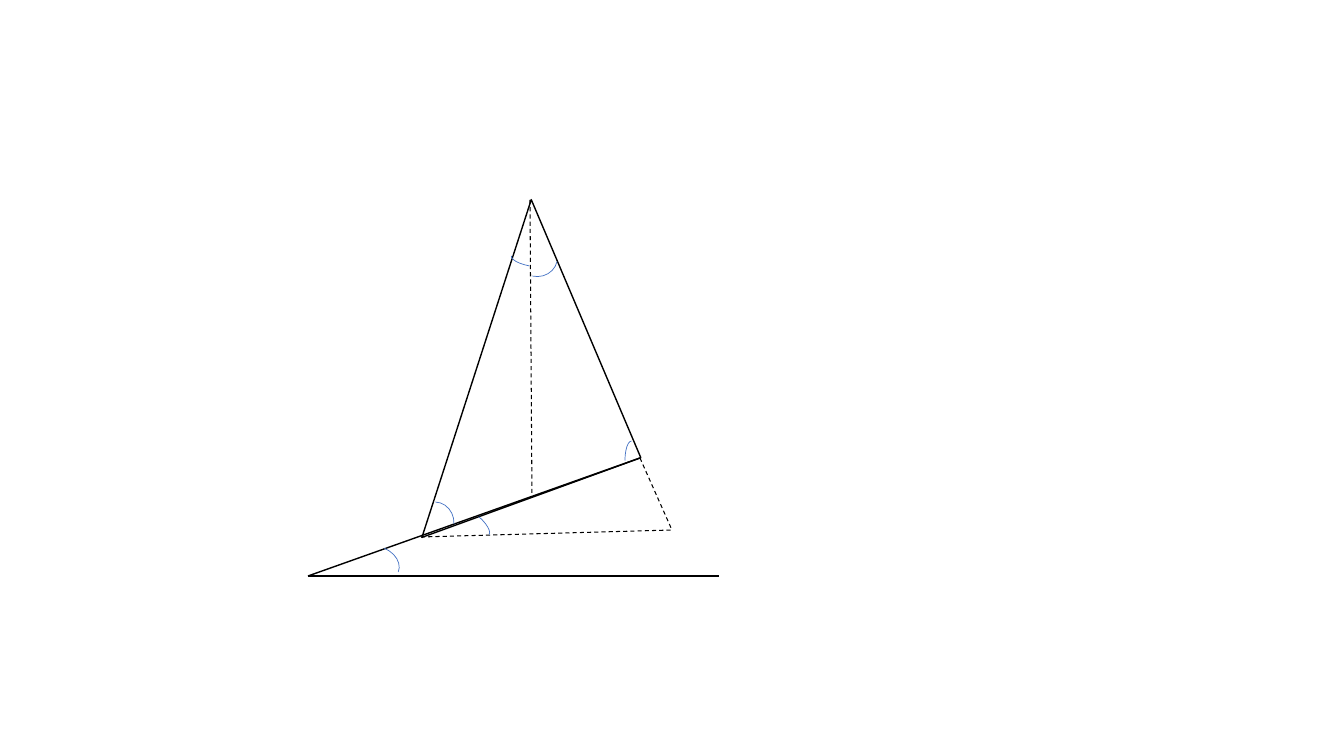
"""Draw a prism angle diagram: a tilted triangle, ground and rays, and angle arcs."""
from dataclasses import dataclass

from pptx import Presentation
from pptx.dml.color import RGBColor
from pptx.enum.dml import MSO_LINE
from pptx.enum.shapes import MSO_CONNECTOR, MSO_SHAPE
from pptx.oxml.ns import qn
from pptx.util import Emu, Pt

DASH = MSO_LINE.DASH
LINE = MSO_CONNECTOR.STRAIGHT
ARC = MSO_SHAPE.ARC
TRIANGLE = MSO_SHAPE.ISOSCELES_TRIANGLE


@dataclass(frozen=True)
class Theme:
    ink: str = "000000"
    paper: str = "FFFFFF"
    angle: str = "4472C4"
    solid: float = 1
    dashed: float = 0.75
    thin: float = 0.5


THEME = Theme()
SCALE = 914400 / 100.8
SIZE = (1344, 756)

PRISM = ((367, 226, 233, 280), 340)
APEX = 0.937

TOP, FOOT = (530, 200), (532, 495)
LEFT, RIGHT = (421, 537), (640, 458)
CORNER = (672, 530)
START, END = (308, 576), (719, 576)

SOLID = [(START, END), (RIGHT, START)]
DASHED = [(LEFT, CORNER), (RIGHT, CORNER), (TOP, FOOT)]

ARCS = [
    ((455, 515, 39, 13), 41.7),
    ((517, 236, 39, 42), 102.4),
    ((511, 253, 39, 13), 190.6),
    ((415, 502, 39, 42), 2.6),
    ((612, 454, 39, 13), 270),
    ((356, 547, 44, 33), 22.7),
]


def emu(*lengths):
    return [Emu(round(px * SCALE)) for px in lengths]


def pen(line, color, width):
    line.color.rgb = RGBColor.from_string(color)
    line.width = Pt(width)


def add_form(slide, kind, box, turn, color, width, fill=None):
    form = slide.shapes.add_shape(kind, *emu(*box))
    form.shadow.inherit = False
    form.rotation = turn
    pen(form.line, color, width)
    if fill:
        form.fill.solid()
        form.fill.fore_color.rgb = RGBColor.from_string(fill)
    else:
        form.fill.background()
    return form


def add_ray(slide, start, end, width, dash=None):
    ray = slide.shapes.add_connector(LINE, *emu(*start, *end))
    pen(ray.line, THEME.ink, width)
    if dash:
        ray.line.dash_style = dash
    props = ray._element.spPr
    props.append(props.makeelement(qn("a:effectLst"), {}))


def main():
    deck = Presentation()
    deck.slide_width, deck.slide_height = emu(*SIZE)
    slide = deck.slides.add_slide(deck.slide_layouts[6])

    prism = add_form(slide, TRIANGLE, *PRISM, THEME.ink, THEME.solid, THEME.paper)
    prism.adjustments[0] = APEX
    for start, end in SOLID:
        add_ray(slide, start, end, THEME.solid)
    for start, end in DASHED:
        add_ray(slide, start, end, THEME.dashed, DASH)
    for box, turn in ARCS:
        add_form(slide, ARC, box, turn, THEME.angle, THEME.thin)

    deck.save("out.pptx")


if __name__ == "__main__":
    main()
